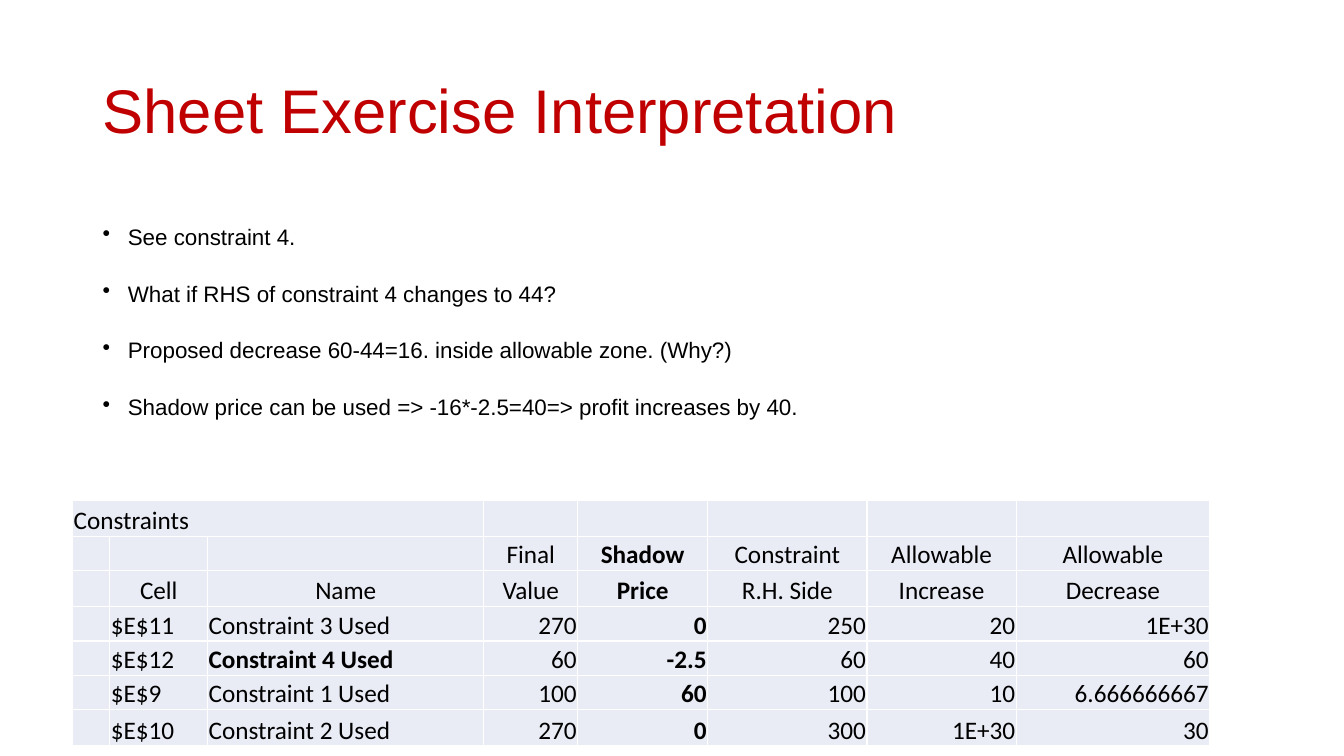
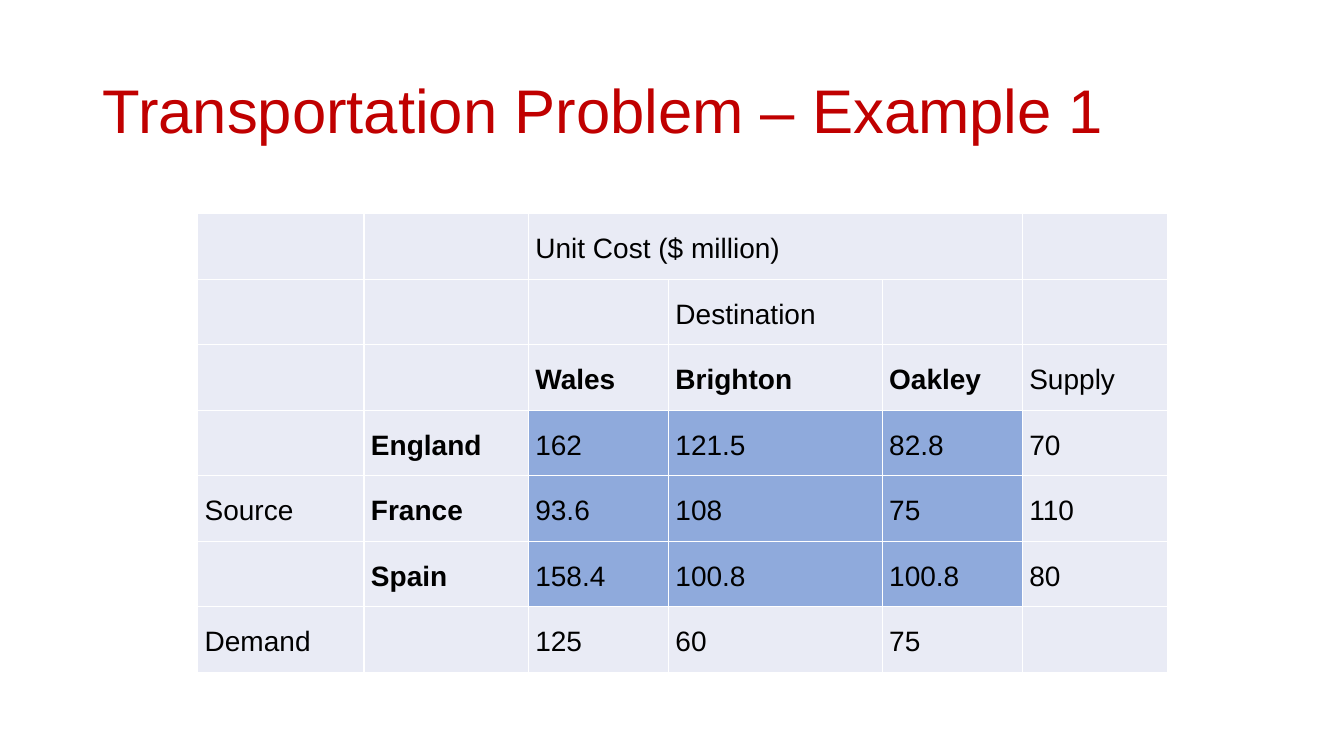
"""Build two slides on sensitivity analysis and a transportation problem."""
import pptx
import pptx.util
import pptx.dml.color
import pptx.enum.text
from lxml import etree

Inches, Pt = pptx.util.Inches, pptx.util.Pt
RGBColor = pptx.dml.color.RGBColor
PP_ALIGN, MSO_ANCHOR = pptx.enum.text.PP_ALIGN, pptx.enum.text.MSO_ANCHOR

TITLE_RED = RGBColor(0xC0, 0x00, 0x00)
BLACK = RGBColor(0x00, 0x00, 0x00)
CELL_PALE = RGBColor(0xE9, 0xEB, 0xF5)
COST_BLUE = RGBColor(0x8F, 0xAA, 0xDC)
BORDER = "FFFFFF"
DRAWING = "http://schemas.openxmlformats.org/drawingml/2006/main"

MARGIN, CONTENT_WIDTH = 0.92, 11.5

QUESTIONS = [
    "See constraint 4.",
    "What if RHS of constraint 4 changes to 44?",
    "Proposed decrease 60-44=16. inside allowable zone. (Why?)",
    "Shadow price can be used => -16*-2.5=40=> profit increases by 40.",
]

CONSTRAINTS = [
    ("Constraints", "", "", "", "", "", "", ""),
    ("", "", "", "Final", "Shadow", "Constraint", "Allowable", "Allowable"),
    ("", "Cell", "Name", "Value", "Price", "R.H. Side", "Increase", "Decrease"),
    ("", "$E$11", "Constraint 3 Used", "270", "0", "250", "20", "1E+30"),
    ("", "$E$12", "Constraint 4 Used", "60", "-2.5", "60", "40", "60"),
    ("", "$E$9", "Constraint 1 Used", "100", "60", "100", "10", "6.666666667"),
    ("", "$E$10", "Constraint 2 Used", "270", "0", "300", "1E+30", "30"),
]
CONSTRAINT_COLUMNS = [0.37, 0.97, 2.74, 0.93, 1.29, 1.58, 1.48, 1.92]
CONSTRAINT_ROWS = [0.36, 0.34, 0.36, 0.34, 0.34, 0.34, 0.36]

COSTS = [
    ("", "", "Unit Cost ($ million)", "", "", ""),
    ("", "", "", "Destination", "", ""),
    ("", "", "Wales", "Brighton", "Oakley", "Supply"),
    ("", "England", "162", "121.5", "82.8", "70"),
    ("Source", "France", "93.6", "108", "75", "110"),
    ("", "Spain", "158.4", "100.8", "100.8", "80"),
    ("Demand", "", "125", "60", "75", ""),
]
COST_COLUMNS = [1.65, 1.63, 1.39, 2.12, 1.39, 1.44]
COST_ROWS = [0.65] * len(COSTS)


def set_font(paragraph, name, size, color, bold=False):
    font = paragraph.font
    font.name, font.size, font.bold = name, Pt(size), bold
    font.color.rgb = color


def add_text(slide, top, height):
    frame = slide.shapes.add_textbox(
        Inches(MARGIN), Inches(top), Inches(CONTENT_WIDTH), Inches(height)).text_frame
    frame.word_wrap = True
    return frame


def add_titled_slide(deck, title):
    slide = deck.slides.add_slide(deck.slide_layouts[6])
    frame = add_text(slide, 0.4, 1.45)
    frame.vertical_anchor = MSO_ANCHOR.MIDDLE
    heading = frame.paragraphs[0]
    heading.text = title
    heading.line_spacing = 0.9
    set_font(heading, "Arial", 44, TITLE_RED)
    return slide


def add_bullets(slide, items):
    frame = add_text(slide, 2, 2.5)
    for index, item in enumerate(items):
        paragraph = frame.add_paragraph() if index else frame.paragraphs[0]
        paragraph.text = item
        properties = paragraph._p.get_or_add_pPr()
        properties.set("marL", str(Inches(0.25)))
        properties.set("indent", str(Inches(-0.25)))
        etree.SubElement(properties, f"{{{DRAWING}}}buChar", char="•")
        paragraph.line_spacing = 1.6
        paragraph.space_before = Pt(10 if index else 0)
        set_font(paragraph, "Arial", 16, BLACK)


def add_borders(cell):
    properties = cell._tc.get_or_add_tcPr()
    for side in ("lnL", "lnR", "lnT", "lnB"):
        line = etree.SubElement(properties, f"{{{DRAWING}}}{side}", w=str(Pt(1)))
        solid = etree.SubElement(line, f"{{{DRAWING}}}solidFill")
        etree.SubElement(solid, f"{{{DRAWING}}}srgbClr", val=BORDER)


def add_grid(slide, left, top, columns, rows, content, merged, insets, style):
    table = slide.shapes.add_table(
        len(rows), len(columns), Inches(left), Inches(top),
        Inches(sum(columns)), Inches(sum(rows))).table
    table.first_row = table.horz_banding = False
    for column, width in zip(table.columns, columns):
        column.width = Inches(width)
    for row, height in zip(table.rows, rows):
        row.height = Inches(height)
    first, last = merged
    table.cell(0, first).merge(table.cell(0, last))
    for r, values in enumerate(content):
        for c, value in enumerate(values):
            cell = table.cell(r, c)
            add_borders(cell)
            cell.fill.solid()
            cell.fill.fore_color.rgb = CELL_PALE
            (cell.margin_left, cell.margin_top,
             cell.margin_right, cell.margin_bottom) = map(Inches, insets)
            cell.text = value
            style(cell, cell.text_frame.paragraphs[0], r, c)


def style_constraint(cell, paragraph, row, column):
    cell.vertical_anchor = MSO_ANCHOR.BOTTOM
    if row in (1, 2):
        paragraph.alignment = PP_ALIGN.CENTER
    elif row > 2 and column > 2:
        paragraph.alignment = PP_ALIGN.RIGHT
    bold = column == 4 or (row, column) == (4, 2)
    set_font(paragraph, "Calibri", 18, BLACK, bold)


def style_cost(cell, paragraph, row, column):
    cell.vertical_anchor = MSO_ANCHOR.MIDDLE
    paragraph.alignment = PP_ALIGN.JUSTIFY
    paragraph.line_spacing = 1.15
    paragraph.space_after = Pt(10)
    destination = column in (2, 3, 4)
    if destination and row in (3, 4, 5):
        cell.fill.fore_color.rgb = COST_BLUE
    bold = column == 1 or (destination and row == 2)
    set_font(paragraph, "Arial", 20, BLACK, bold)


def main():
    deck = pptx.Presentation()
    deck.slide_width, deck.slide_height = Inches(13.33), Inches(7.5)

    interpretation = add_titled_slide(deck, "Sheet Exercise Interpretation")
    add_bullets(interpretation, QUESTIONS)
    add_grid(interpretation, 0.72, 4.96, CONSTRAINT_COLUMNS, CONSTRAINT_ROWS,
             CONSTRAINTS, (0, 2), (0.01, 0.01, 0.01, 0), style_constraint)

    transportation = add_titled_slide(deck, "Transportation Problem – Example 1")
    add_grid(transportation, 1.96, 2.12, COST_COLUMNS, COST_ROWS,
             COSTS, (2, 4), (0.07, 0, 0.07, 0), style_cost)

    deck.save("out.pptx")


if __name__ == "__main__":
    main()
